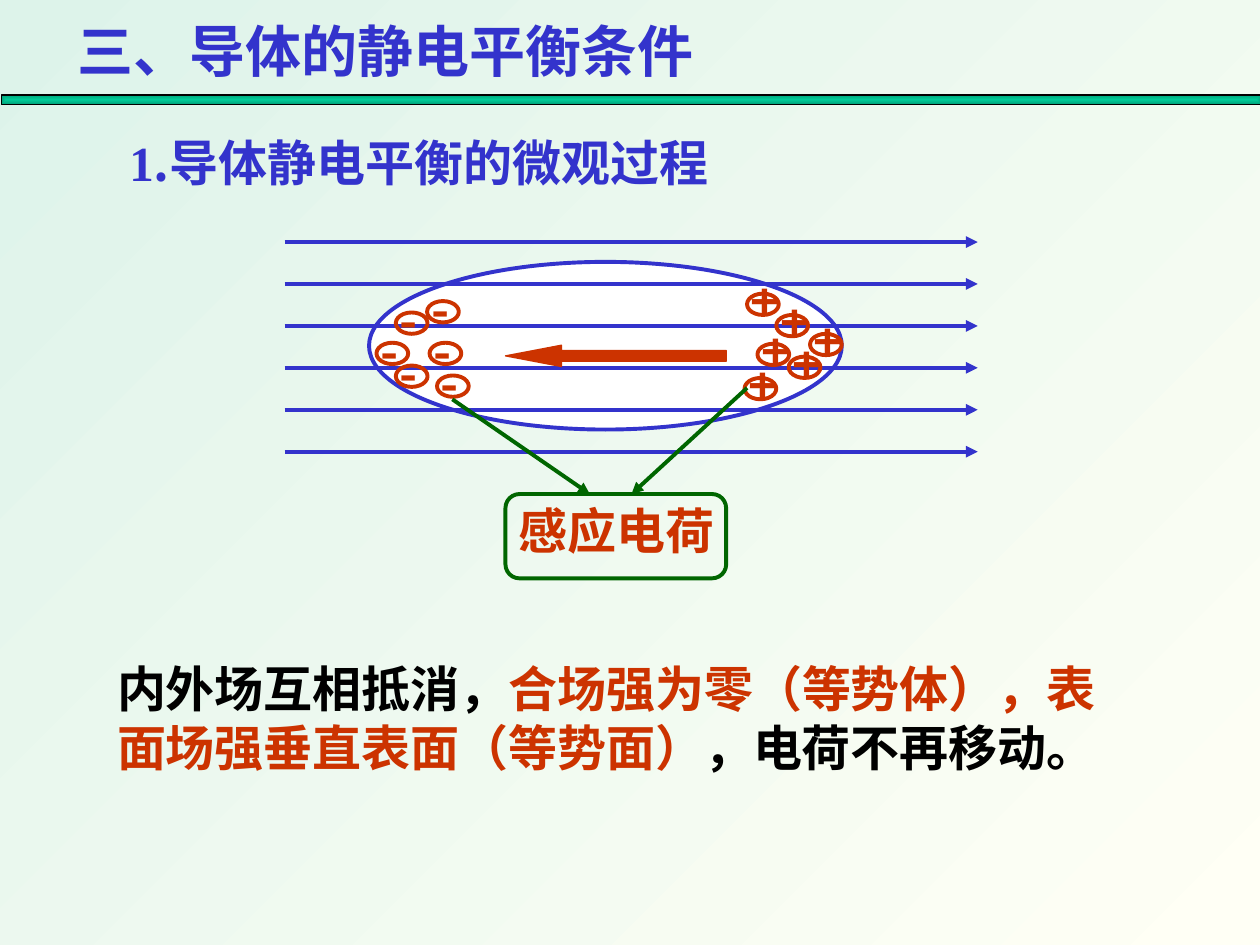
from lxml import etree
from pptx import Presentation
from pptx.dml.color import RGBColor
from pptx.enum.shapes import MSO_CONNECTOR, MSO_SHAPE
from pptx.enum.text import MSO_ANCHOR, MSO_AUTO_SIZE, PP_ALIGN
from pptx.oxml.ns import qn
from pptx.util import Cm, Pt

STRAIGHT = MSO_CONNECTOR.STRAIGHT
OVAL, RECT, ARROW = MSO_SHAPE.OVAL, MSO_SHAPE.RECTANGLE, MSO_SHAPE.LEFT_ARROW
CALLOUT = MSO_SHAPE.FLOWCHART_ALTERNATE_PROCESS
LEFT, CENTER = PP_ALIGN.LEFT, PP_ALIGN.CENTER
TOP, FIT = MSO_ANCHOR.TOP, MSO_AUTO_SIZE.SHAPE_TO_FIT_TEXT

BLUE, RED, GREEN, BLACK, WHITE = "3333CC", "CC3300", "006600", "000000", "FFFFFF"
SERIF, CJK = "Times New Roman", "Noto Sans CJK SC"

TITLE = "三、导体的静电平衡条件"
HEADING = [("1", BLUE, SERIF), (".导体静电平衡的微观过程", BLUE, CJK)]
CONCLUSION = [
    ("内外场互相抵消，", BLACK, CJK),
    ("合场强为零（等势体），表面场强垂直表面（等势面）", RED, CJK),
    ("，电荷不再移动。", BLACK, CJK),
]
CHARGES = [
    ("-", 0.56, [(7.98, 6.3), (8.66, 6.91), (7.98, 7.37), (8.81, 7.57),
                 (8.61, 6.07), (7.59, 6.91)]),
    ("+", 0.58, [(15.65, 6.35), (15.06, 5.92), (15.01, 7.62), (16.33, 6.73),
                 (15.9, 7.19), (15.27, 6.93)]),
]
FIELD_LEFT, FIELD_RIGHT, FIELD_TOP, FIELD_GAP, FIELD_COUNT = 5.74, 19.71, 4.88, 0.845, 6
LEADERS = [(9.12, 8.05, 11.89, 9.96), (15.06, 7.82, 12.73, 9.96)]


def rgb(value):
    return RGBColor.from_string(value)


def cms(*values):
    return [Cm(v) for v in values]


def set_font(font, color, name, size=28):
    font.size, font.bold = Pt(size), True
    font.color.rgb = rgb(color)
    font.name = name
    ea = etree.SubElement(font._element, qn("a:ea"))
    ea.set("typeface", CJK)


def set_gradient(fill, start, end):
    fill.gradient()
    for stop, color in zip(fill.gradient_stops, (start, end)):
        stop.color.rgb = rgb(color)


def set_frame(tf, wrap):
    tf.word_wrap, tf.auto_size, tf.vertical_anchor = wrap, FIT, TOP


def add_shape(shapes, kind, box, line, width=2.25, fill=None):
    sp = shapes.add_shape(kind, *cms(*box))
    sp.shadow.inherit = False
    sp.line.color.rgb, sp.line.width = rgb(line), Pt(width)
    if fill:
        sp.fill.solid()
        sp.fill.fore_color.rgb = rgb(fill)
    else:
        sp.fill.background()
    return sp


def add_arrow(shapes, ends, color):
    line = shapes.add_connector(STRAIGHT, *cms(*ends))
    line.line.color.rgb, line.line.width = rgb(color), Pt(2.25)
    etree.SubElement(line.line._get_or_add_ln(), qn("a:tailEnd")).set("type", "triangle")
    etree.SubElement(line._element.spPr, qn("a:effectLst"))


def add_label(shapes, box, text, align=LEFT):
    tf = shapes.add_textbox(*cms(*box)).text_frame
    set_frame(tf, False)
    p = tf.paragraphs[0]
    p.text, p.alignment = text, align
    set_font(p.font, RED, CJK)


def add_runs(shapes, box, runs):
    tf = shapes.add_textbox(*cms(*box)).text_frame
    set_frame(tf, True)
    for text, color, name in runs:
        r = tf.paragraphs[0].add_run()
        r.text = text
        set_font(r.font, color, name)


prs = Presentation()
prs.slide_width, prs.slide_height = cms(25.4, 19.05)
s = prs.slides.add_slide(prs.slide_layouts[5])
set_gradient(s.background.fill, "DDF3EA", "FFFFF5")
s.background.fill.gradient_angle = 315

title = s.shapes.title
title.left, title.top, title.width, title.height = cms(1.3, 0.2, 12.98, 1.6)
set_frame(title.text_frame, False)
p = title.text_frame.paragraphs[0]
p.text, p.alignment = TITLE, LEFT
set_font(p.font, BLUE, SERIF, 32)

field = s.shapes.add_group_shape().shapes
add_shape(field, OVAL, (7.44, 5.28, 9.53, 3.38), BLUE, fill=WHITE)
for i in range(FIELD_COUNT):
    y = FIELD_TOP + i * FIELD_GAP
    add_arrow(field, (FIELD_LEFT, y, FIELD_RIGHT, y), BLUE)

add_runs(s.shapes, (2.36, 2.54, 13.34, 1.45), HEADING)

inner = add_shape(s.shapes, ARROW, (10.19, 6.96, 4.45, 0.43), RED, 0.75, RED)
inner.adjustments[0], inner.adjustments[1] = 0.5, 2.625

bar = add_shape(s.shapes, RECT, (0.03, 1.91, 25.4, 0.2), BLACK, 1)
set_gradient(bar.fill, "00CC99", "00A179")
grad = bar._element.spPr.find(qn("a:gradFill"))
grad.remove(grad.find(qn("a:lin")))
path = etree.SubElement(grad, qn("a:path"))
path.set("path", "shape")
center = etree.SubElement(path, qn("a:fillToRect"))
for side in "ltrb":
    center.set(side, "50000")

for sign, rise, places in CHARGES:
    group = s.shapes.add_group_shape().shapes
    for x, y in places:
        add_label(group, (x - 0.17, y - rise, 1.02, 1.45), sign)
        add_shape(group, OVAL, (x, y, 0.64, 0.43), RED)

callout = s.shapes.add_group_shape().shapes
for ends in LEADERS:
    add_arrow(callout, ends, GREEN)
add_shape(callout, CALLOUT, (10.19, 9.96, 4.45, 1.7), GREEN)
add_label(callout, (10.19, 9.96, 4.47, 1.45), "感应电荷", CENTER)

add_runs(s.shapes, (2.11, 13.16, 20.96, 4.42), CONCLUSION)
prs.save("out.pptx")
